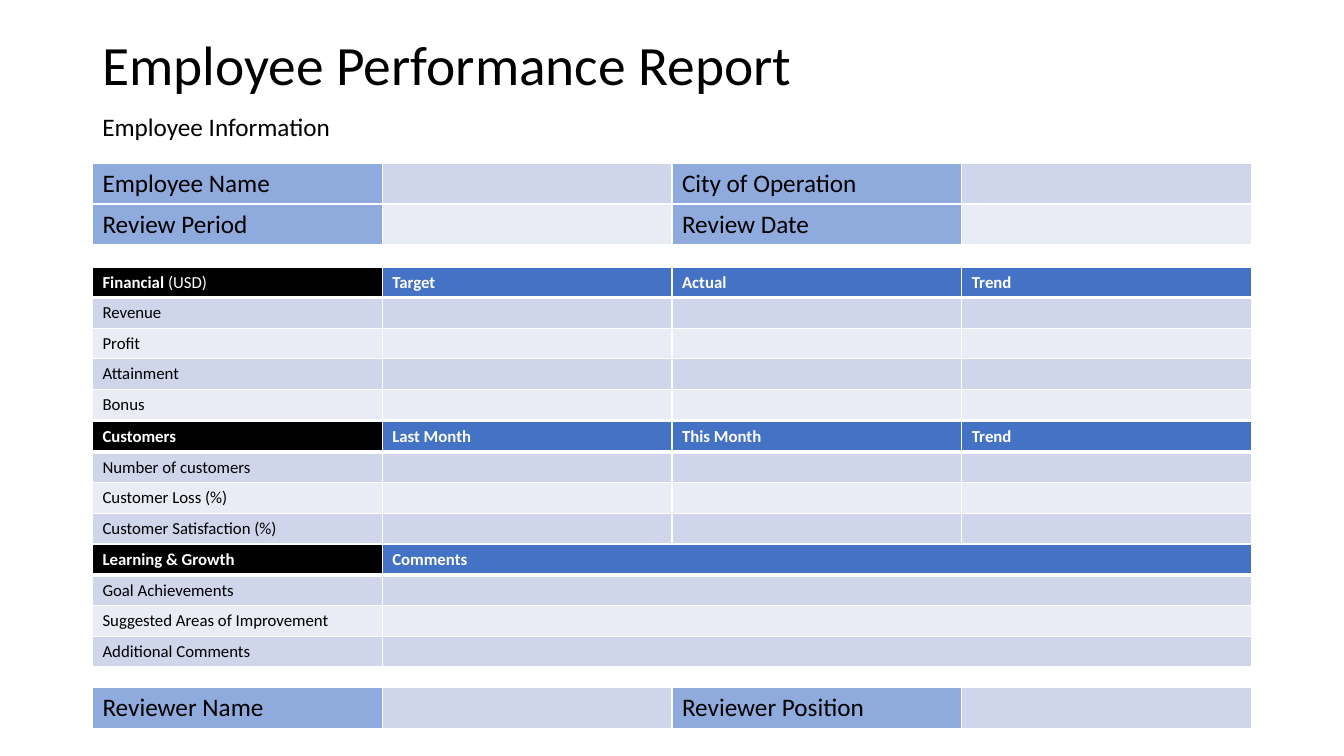
from lxml import etree
from pptx import Presentation
from pptx.dml.color import RGBColor
from pptx.enum.text import MSO_ANCHOR
from pptx.oxml.ns import qn
from pptx.util import Cm, Pt

MIDDLE = MSO_ANCHOR.MIDDLE
FONT = "Calibri"
HUES = {
    "black": "000000", "white": "FFFFFF", "label": "8FAADC",
    "head": "4472C4", "dark": "CFD5EA", "light": "E9EBF5",
}
BANDS = ("dark", "light")
LEFT, WIDTH = 2.33, 29.21
QUARTERS = [WIDTH / 4] * 4
WIDE = [WIDTH / 4, WIDTH * 3 / 4]
FORM_ROW, SCORE_ROW = 1.03, 0.77

FORMS = [
    (4.11, [["Employee Name", "", "City of Operation", ""],
            ["Review Period", "", "Review Date", ""]]),
    (17.32, [["Reviewer Name", "", "Reviewer Position", ""]]),
]
SCORES = [
    (6.73, QUARTERS, ["Financial ", "Target", "Actual", "Trend"], "(USD)",
     ["Revenue", "Profit", "Attainment", "Bonus"]),
    (10.62, QUARTERS, ["Customers", "Last Month", "This Month", "Trend"], "",
     ["Number of customers", "Customer Loss (%)", "Customer Satisfaction (%)"]),
    (13.72, WIDE, ["Learning & Growth", "Comments"], "",
     ["Goal Achievements", "Suggested Areas of Improvement",
      "Additional Comments"]),
]


def write(para, text, size=18, hue="black", bold=False):
    """Add a run to a paragraph, or set the size of an empty one."""
    if not text:
        end = etree.SubElement(para._p, qn("a:endParaRPr"))
        end.set("sz", str(size * 100))
        return
    run = para.add_run()
    run.text = text
    font = run.font
    font.name, font.size, font.bold = FONT, Pt(size), bold
    font.color.rgb = RGBColor.from_string(HUES[hue])


def paint(cell, hue, top=1, base=1):
    """Give a cell white borders and a solid fill."""
    props = cell._tc.get_or_add_tcPr()
    for side, width in (("L", 1), ("R", 1), ("T", top), ("B", base)):
        line = etree.SubElement(props, qn("a:ln" + side), w=str(Pt(width)))
        solid = etree.SubElement(line, qn("a:solidFill"))
        etree.SubElement(solid, qn("a:srgbClr"), val=HUES["white"])
    cell.fill.solid()
    cell.fill.fore_color.rgb = RGBColor.from_string(HUES[hue])


def add_grid(slide, top, widths, count, height):
    """Add an unstyled table with the given columns and equal rows."""
    table = slide.shapes.add_table(
        count, len(widths), Cm(LEFT), Cm(top), Cm(sum(widths)),
        Cm(count * height)).table
    table.first_row = table.horz_banding = False
    for col, width in zip(table.columns, widths):
        col.width = Cm(width)
    for row in table.rows:
        row.height = Cm(height)
    return table


def add_title(slide, left, top, width, height):
    """Place the title and the subtitle in one box."""
    frame = slide.shapes.add_textbox(
        Cm(left), Cm(top), Cm(width), Cm(height)).text_frame
    frame.word_wrap = True
    frame.vertical_anchor = MIDDLE
    para = frame.paragraphs[0]
    para.line_spacing = 1.5
    write(para, "Employee Performance Report", size=39.6)
    para.add_line_break()
    write(para, "Employee Information")


def add_form(slide, top, rows):
    """Place a table of labels, each with a blank field beside it."""
    table = add_grid(slide, top, QUARTERS, len(rows), FORM_ROW)
    for i, row in enumerate(rows):
        for j, text in enumerate(row):
            cell = table.cell(i, j)
            paint(cell, "label" if text else BANDS[i % 2])
            write(cell.text_frame.paragraphs[0], text)


def add_score(slide, top, widths, heads, unit, names):
    """Place a table with a header row and banded blank rows."""
    table = add_grid(slide, top, widths, len(names) + 1, SCORE_ROW)
    for j, head in enumerate(heads):
        cell = table.cell(0, j)
        paint(cell, "head" if j else "black", base=3)
        write(cell.text_frame.paragraphs[0], head, size=12, hue="white",
              bold=True)
        for i, name in enumerate(names):
            cell = table.cell(i + 1, j)
            paint(cell, BANDS[i % 2], top=1 if i else 3)
            write(cell.text_frame.paragraphs[0], "" if j else name, size=12)
    if unit:
        write(table.cell(0, 0).text_frame.paragraphs[0], unit, size=12,
              hue="white")


def main():
    """Build the report slide and save it."""
    deck = Presentation()
    deck.slide_width, deck.slide_height = Cm(33.87), Cm(19.05)
    slide = deck.slides.add_slide(deck.slide_layouts[6])
    add_title(slide, LEFT, -0.1, WIDTH, 3.68)
    for form in FORMS:
        add_form(slide, *form)
    for score in SCORES:
        add_score(slide, *score)
    deck.save("out.pptx")


if __name__ == "__main__":
    main()
